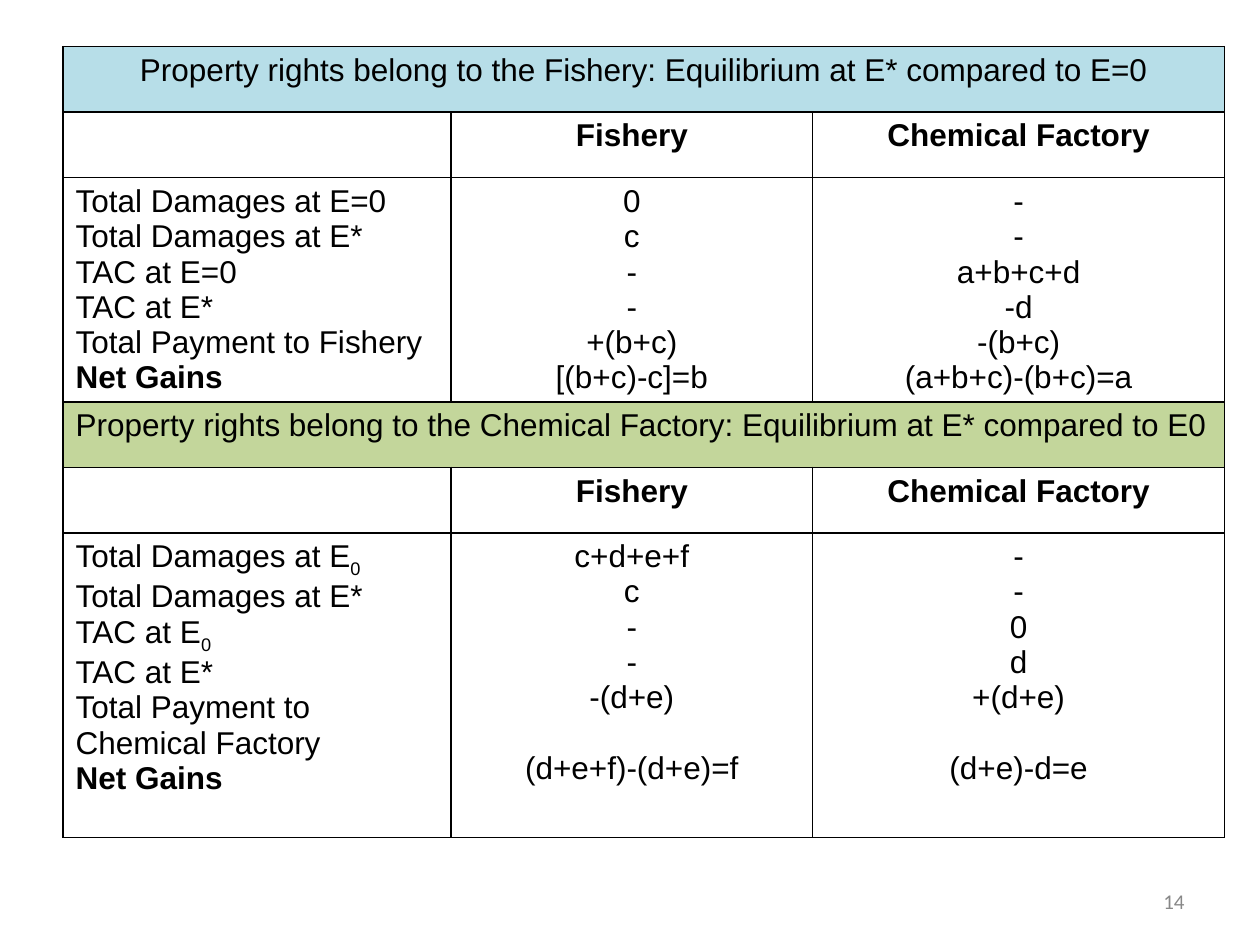
from lxml import etree
from pptx import Presentation
from pptx.dml.color import RGBColor
from pptx.enum.text import MSO_ANCHOR, PP_ALIGN
from pptx.oxml.ns import qn
from pptx.util import Inches, Pt

LEFT, CENTER, RIGHT = PP_ALIGN.LEFT, PP_ALIGN.CENTER, PP_ALIGN.RIGHT
MIDDLE = MSO_ANCHOR.MIDDLE

HEADINGS = ["", "Fishery", "Chemical Factory"]
NET_GAINS = "Net Gains"

# "_" marks the next character as a subscript.
SECTIONS = [
    {
        "title": "Property rights belong to the Fishery: Equilibrium at E* compared to E=0",
        "align": CENTER, "fill": "B7DEE8", "height": 1.78, "gap": 0,
        "columns": [
            ["Total Damages at E=0", "Total Damages at E*", "TAC at E=0", "TAC at E*",
             "Total Payment to Fishery", NET_GAINS],
            ["0", "c", "-", "-", "+(b+c)", "[(b+c)-c]=b"],
            ["-", "-", "a+b+c+d", "-d", "-(b+c)", "(a+b+c)-(b+c)=a"],
        ],
    },
    {
        "title": "Property rights belong to the Chemical Factory: Equilibrium at E* compared to E0",
        "align": LEFT, "fill": "C3D69B", "height": 2.42, "gap": 20.2,
        "columns": [
            ["Total Damages at E_0", "Total Damages at E*", "TAC at E_0", "TAC at E*",
             "Total Payment to Chemical Factory", NET_GAINS],
            ["c+d+e+f", "c", "-", "-", "-(d+e)", "(d+e+f)-(d+e)=f"],
            ["-", "-", "0", "d", "+(d+e)", "(d+e)-d=e"],
        ],
    },
]
COL_WIDTHS = [3.08, 2.87, 3.27]
HEAD_HEIGHT = 0.52
ROWS_PER_SECTION = 3
BODY = {"name": "Arial", "size": Pt(18)}
NUMBER = {"name": "Calibri", "size": Pt(12)}


def rgb(color):
    return RGBColor.from_string(color)


def add_run(p, text, style, color="000000", bold=False, subscript=False):
    r = p.add_run()
    r.text = text
    for key, value in {**style, "bold": bold}.items():
        setattr(r.font, key, value)
    r.font.color.rgb = rgb(color)
    if subscript:
        r.font._element.set("baseline", "-25000")


def write_cell(cell, lines, align, bold=False, gap=0):
    """Fill a cell, leaving gap points above its last line."""
    tf = cell.text_frame
    for i, line in enumerate(lines):
        p = tf.paragraphs[0] if i == 0 else tf.add_paragraph()
        p.alignment = align
        if gap and i == len(lines) - 1:
            p.space_before = Pt(gap)
        base, _, sub = line.partition("_")
        if base:
            add_run(p, base, BODY, bold=bold or line == NET_GAINS)
        if sub:
            add_run(p, sub, BODY, subscript=True)


def add_borders(cell):
    tcPr = cell._tc.get_or_add_tcPr()
    for side in ("lnL", "lnR", "lnT", "lnB"):
        ln = etree.SubElement(tcPr, qn(f"a:{side}"), w=str(Pt(1)))
        fill = etree.SubElement(ln, qn("a:solidFill"))
        etree.SubElement(fill, qn("a:srgbClr"), val="000000")


def add_rights_table(s):
    heights = [h for sec in SECTIONS for h in (HEAD_HEIGHT, HEAD_HEIGHT, sec["height"])]
    table = s.shapes.add_table(
        len(heights), len(COL_WIDTHS), Inches(0.5), Inches(0.37),
        Inches(sum(COL_WIDTHS)), Inches(sum(heights))).table
    table.first_row = table.horz_banding = False
    for col, width in zip(table.columns, COL_WIDTHS):
        col.width = Inches(width)
    for row, height in zip(table.rows, heights):
        row.height = Inches(height)
    for cell in table.iter_cells():
        add_borders(cell)
        cell.fill.background()

    for n, sec in enumerate(SECTIONS):
        top = n * ROWS_PER_SECTION
        title = table.cell(top, 0)
        title.merge(table.cell(top, len(COL_WIDTHS) - 1))
        title.fill.solid()
        title.fill.fore_color.rgb = rgb(sec["fill"])
        write_cell(title, [sec["title"]], sec["align"])
        for c, (heading, lines) in enumerate(zip(HEADINGS, sec["columns"])):
            write_cell(table.cell(top + 1, c), [heading], CENTER, bold=True)
            write_cell(table.cell(top + 2, c), lines, CENTER if c else LEFT,
                       gap=sec["gap"] if c else 0)


def add_slide_number(s):
    tf = s.shapes.add_textbox(Inches(7.17), Inches(6.95), Inches(2.33), Inches(0.4)).text_frame
    tf.word_wrap = True
    tf.vertical_anchor = MIDDLE
    p = tf.paragraphs[0]
    p.alignment = RIGHT
    add_run(p, "14", NUMBER, "888888")


def main():
    prs = Presentation()
    prs.slide_width, prs.slide_height = Inches(10), Inches(7.5)
    s = prs.slides.add_slide(prs.slide_layouts[6])
    add_rights_table(s)
    add_slide_number(s)
    prs.save("out.pptx")


if __name__ == "__main__":
    main()
